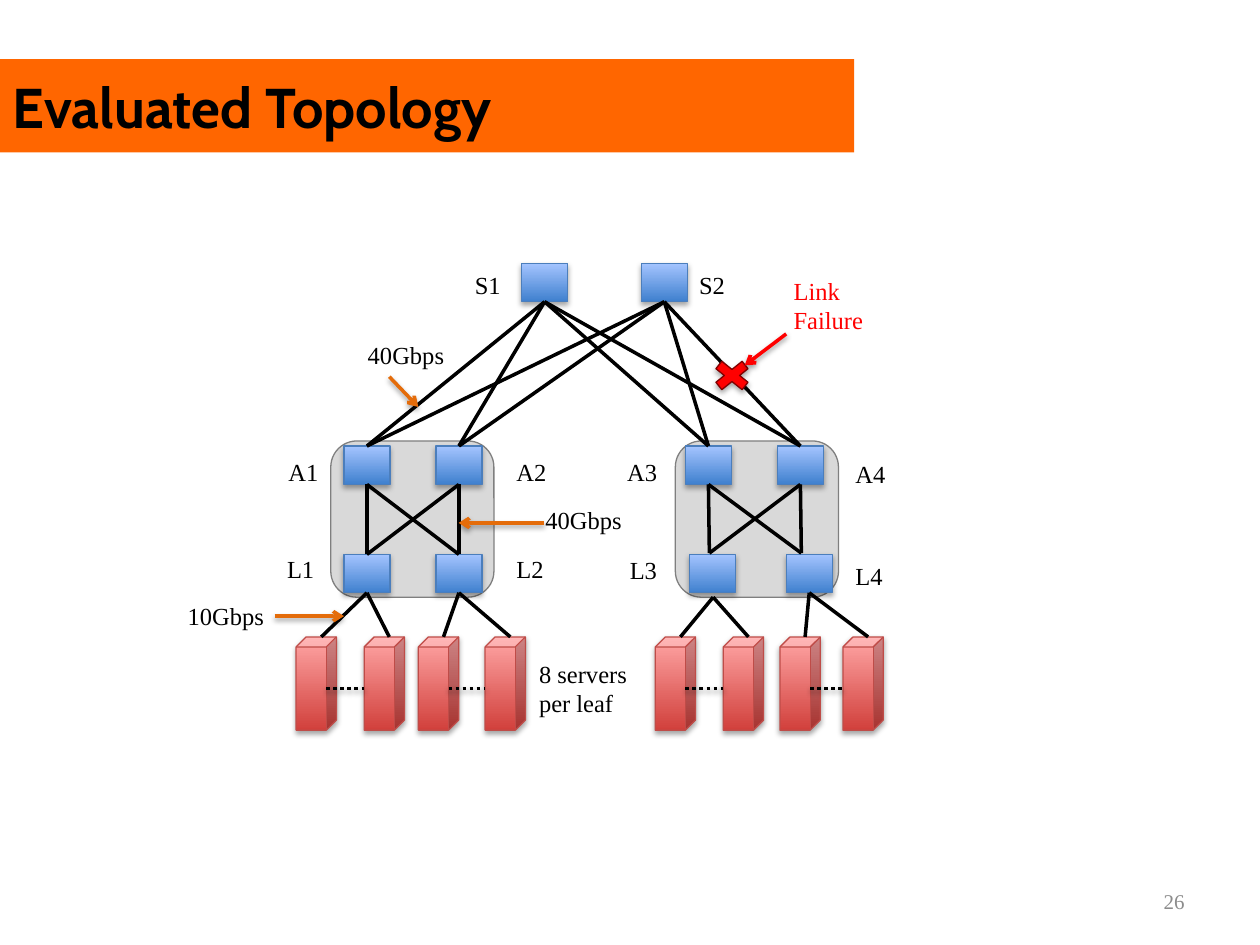
"""Draw a leaf-spine test network on a grid of 100 columns by 75 rows."""
import dataclasses
import itertools
import typing

import lxml.etree
import pptx
import pptx.dml.color
import pptx.enum.dml
import pptx.enum.shapes
import pptx.enum.text
import pptx.oxml.ns
import pptx.shapes.autoshape
import pptx.util

SHAPE = pptx.enum.shapes.MSO_SHAPE
ALIGN = pptx.enum.text.PP_ALIGN
MIDDLE = pptx.enum.text.MSO_ANCHOR.MIDDLE
HEAD, FOOT = 0, 2
WIDE, HIGH = 3.65, 3.05
BLUE = ("3F80CE", "A4C4FF")
RED = ("D1403C", "FFA6A5")
ORANGE = "E46C0A"


@dataclasses.dataclass
class Switch:
    name: str
    col: float
    row: float
    text: tuple[float, float]
    box: typing.Optional[pptx.shapes.autoshape.Shape] = None


@dataclasses.dataclass
class Spot:
    col: float
    row: float
    box: typing.Optional[pptx.shapes.autoshape.Shape] = None
    side: int = HEAD


@dataclasses.dataclass
class Rack:
    start: Spot
    cols: tuple[float, float]


class Note(typing.NamedTuple):
    lines: tuple[str, ...]
    area: tuple[float, float, float, float]
    tint: str = "000000"


class Arrow(typing.NamedTuple):
    start: Spot
    stop: Spot
    tint: str = ORANGE


def cell(count: float) -> pptx.util.Emu:
    return pptx.util.Inches(count / 10)


def paint(code: str) -> pptx.dml.color.RGBColor:
    return pptx.dml.color.RGBColor.from_string(code)


def node(parent, tag: str, **attrs: str):
    return lxml.etree.SubElement(parent, pptx.oxml.ns.qn(tag), attrs)


def shade(item, alpha: int = 0) -> None:
    effect = node(item.element.spPr, "a:effectLst")
    if alpha:
        cast = node(effect, "a:outerShdw", blurRad="39370", dist="22860",
                    dir="5400000", rotWithShape="0")
        node(node(cast, "a:srgbClr", val="000000"), "a:alpha", val=str(alpha * 1000))


def block(slide, kind, area: tuple, fill: typing.Union[str, tuple], edge: str,
          alpha: int = 35) -> pptx.shapes.autoshape.Shape:
    item = slide.shapes.add_shape(kind, *map(cell, area))
    if isinstance(fill, str):
        item.fill.solid()
        item.fill.fore_color.rgb = paint(fill)
    else:
        item.fill.gradient()
        item.fill.gradient_angle = 90
        for stop, code in zip(item.fill.gradient_stops, fill):
            stop.color.rgb = paint(code)
    item.line.color.rgb = paint(edge)
    item.line.width = pptx.util.Pt(0.75)
    shade(item, alpha)
    return item


def link(slide, start: Spot, stop: Spot, tint: str = "000000",
         alpha: int = 0, dots: bool = False, arrow: bool = False) -> None:
    item = slide.shapes.add_connector(
        pptx.enum.shapes.MSO_CONNECTOR.STRAIGHT,
        *map(cell, (start.col, start.row, stop.col, stop.row)))
    if start.box is not None:
        item.begin_connect(start.box, start.side)
    if stop.box is not None:
        item.end_connect(stop.box, stop.side)
    item.line.color.rgb = paint(tint)
    item.line.width = pptx.util.Pt(2)
    if dots:
        item.line.dash_style = pptx.enum.dml.MSO_LINE.ROUND_DOT
    if arrow:
        node(item.element.spPr.find(pptx.oxml.ns.qn("a:ln")), "a:tailEnd", type="arrow")
    shade(item, alpha)


def style(run, text: str, size: int, tint: str, face: str = "Times New Roman") -> None:
    run.text = text
    run.font.size = pptx.util.Pt(size)
    run.font.name = face
    run.font.color.rgb = paint(tint)


def write(slide, note: Note, size: int = 14):
    frame = slide.shapes.add_textbox(*map(cell, note.area)).text_frame
    frame.word_wrap = True
    for place, text in enumerate(note.lines):
        para = frame.add_paragraph() if place else frame.paragraphs[0]
        style(para.add_run(), text, size, note.tint)
    return frame


def edge(switch: Switch, side: int) -> Spot:
    return Spot(switch.col + WIDE / 2, switch.row + (HIGH if side == FOOT else 0),
                switch.box, side)


def place(slide, switch: Switch) -> None:
    switch.box = block(slide, SHAPE.RECTANGLE,
                       (switch.col, switch.row, WIDE, HIGH), BLUE, "4B7EBC")
    write(slide, Note((switch.name,), (*switch.text, 5, 3.4)))


def stack(slide, rack: Rack, row: float = 50.55) -> None:
    for col in rack.cols:
        block(slide, SHAPE.CUBE, (col, row, 3.2, 7.4), RED, "BF4C48")
        link(slide, rack.start, Spot(col + 2, row))
    left, right = rack.cols
    link(slide, Spot(left + 2.4, row + 4.1), Spot(right, row + 4.1), alpha=38, dots=True)


def head(slide) -> None:
    title = slide.shapes.title
    title.left, title.top, title.width, title.height = map(cell, (0, 4.7, 67.8, 7.4))
    title.fill.solid()
    title.fill.fore_color.rgb = paint("FF6600")
    title.text_frame.vertical_anchor = MIDDLE
    para = title.text_frame.paragraphs[0]
    para.alignment = ALIGN.LEFT
    run = para.add_run()
    style(run, "Evaluated Topology", 32, "000000", "Cabin")
    run.font.bold = True


def main() -> None:
    deck = pptx.Presentation()
    deck.slide_width, deck.slide_height = cell(100), cell(75)
    slide = deck.slides.add_slide(deck.slide_layouts[5])
    head(slide)
    for col in (26.25, 53.6):
        block(slide, SHAPE.ROUNDED_RECTANGLE, (col, 35, 12.95, 12.4), "D9D9D9", "7F7F7F", 0)

    spines = [Switch("S1", 41.4, 20.9, (36.7, 20.9)), Switch("S2", 50.9, 20.9, (54.5, 20.9))]
    aggs = [Switch("A1", 27.3, 35.4, (21.9, 35.8)), Switch("A2", 34.6, 35.4, (40, 35.8)),
            Switch("A3", 54.4, 35.4, (48.8, 35.8)), Switch("A4", 61.7, 35.4, (66.9, 35.9))]
    leaves = [Switch("L1", 27.3, 44, (21.8, 43.5)), Switch("L2", 34.6, 44, (40, 43.5)),
              Switch("L3", 54.7, 44, (49, 43.6)), Switch("L4", 62.4, 44, (66.9, 44))]
    for switch in spines + aggs + leaves:
        place(slide, switch)

    for agg, spine in itertools.product(aggs, spines):
        link(slide, edge(agg, HEAD), edge(spine, FOOT))
    tops = [edge(leaf, HEAD) for leaf in leaves[:2]] + [Spot(56.3, 43.9), Spot(63.6, 43.9)]
    for pod in (slice(0, 2), slice(2, 4)):
        for top, agg in itertools.product(tops[pod], aggs[pod]):
            link(slide, top, edge(agg, FOOT))

    feet = [edge(leaf, FOOT) for leaf in leaves]
    feet[2] = Spot(56.6, 47.4)
    pairs = ((23.5, 28.9), (33.2, 38.5), (52, 57.4), (61.9, 66.9))
    for foot, cols in zip(feet, pairs):
        stack(slide, Rack(foot, cols))

    block(slide, SHAPE.MATH_MULTIPLY, (56.1, 28.2, 4, 3.2), "FF0000", "800000")
    for note in (Note(("8 servers", "per leaf"), (41.8, 51.8, 10.7, 5.7)),
                 Note(("40Gbps",), (28.2, 26.5, 9.9, 3.4)),
                 Note(("40Gbps",), (42.3, 39.6, 9.9, 3.4)),
                 Note(("10Gbps",), (13.9, 47.2, 9.2, 3.4)),
                 Note(("Link Failure",), (62, 21.4, 9.9, 5.7), "FF0000")):
        write(slide, note)
    for arrow in (Arrow(Spot(30.9, 29.9), Spot(33.2, 32.3)),
                  Arrow(Spot(43.2, 41.5), Spot(36.4, 41.5)),
                  Arrow(Spot(21.8, 48.9), Spot(27.3, 48.9)),
                  Arrow(Spot(62.4, 26.5), Spot(59.1, 29), "FF0000")):
        link(slide, arrow.start, arrow.stop, arrow.tint, 38, arrow=True)

    frame = write(slide, Note(("26",), (71.7, 69.5, 23.3, 4), "8C8C8C"), 12)
    frame.vertical_anchor = MIDDLE
    frame.paragraphs[0].alignment = ALIGN.RIGHT
    deck.save("out.pptx")


if __name__ == "__main__":
    main()
